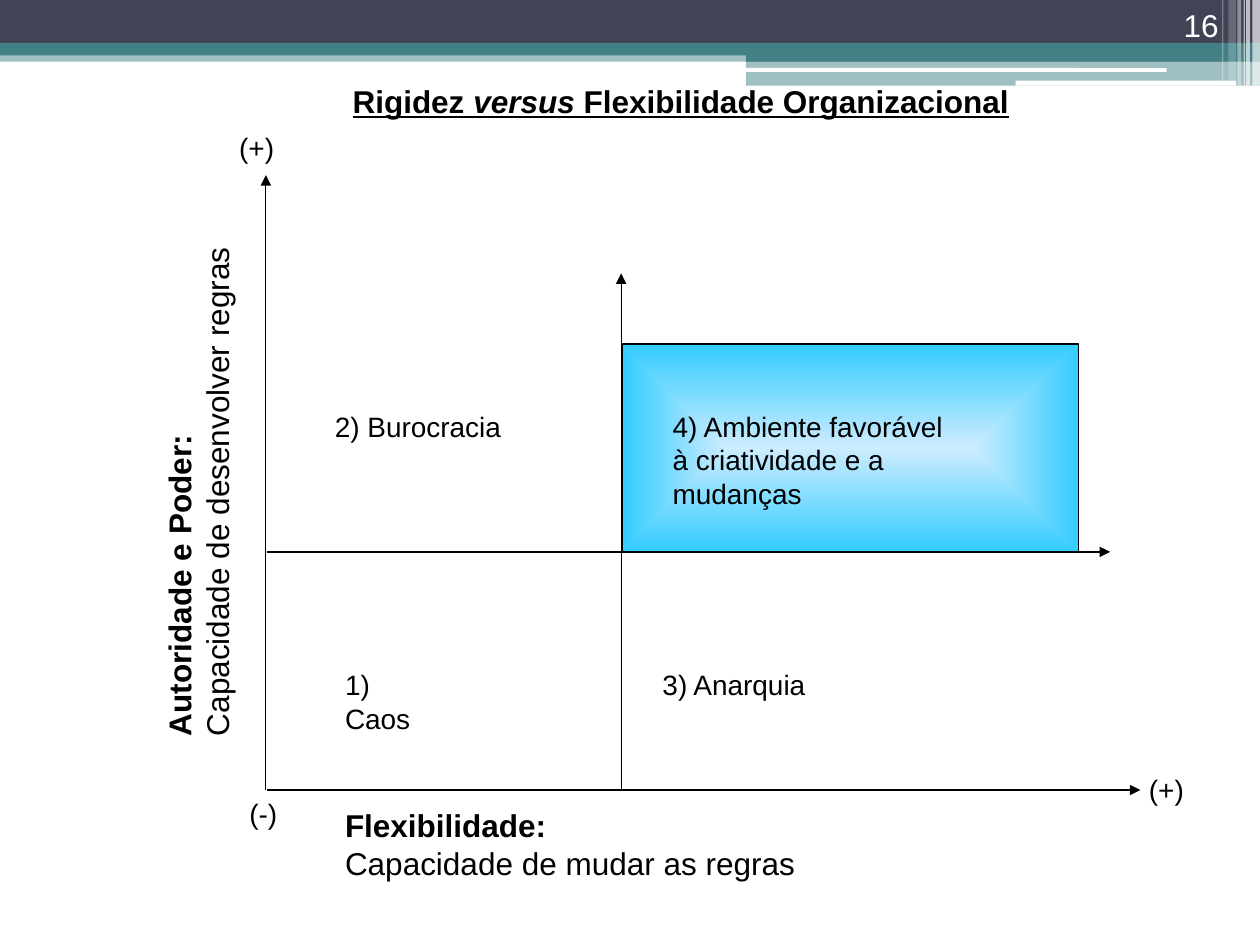
from lxml import etree
from pptx import Presentation
from pptx import util as u
from pptx.dml.color import RGBColor
from pptx.enum import shapes, text
from pptx.oxml import ns

Inches, Pt = u.Inches, u.Pt
BLACK = RGBColor(0x00, 0x00, 0x00)
WHITE = RGBColor(0xFF, 0xFF, 0xFF)
NAVY = RGBColor(0x42, 0x44, 0x56)
TEAL = RGBColor(0x43, 0x80, 0x86)
PALE_BLUE = RGBColor(0xCC, 0xEC, 0xFF)
SKY_BLUE = RGBColor(0x33, 0xCC, 0xFF)


def add_xml(parent, tag, **attrs):
    return etree.SubElement(parent, ns.qn(tag), attrs)


class SlideBuilder:
    font = "Arial"
    line_width = Pt(0.75)

    def __init__(self, slide):
        self.s = slide

    def box(self, x, y, w, h, color, alpha=100, kind=shapes.MSO_SHAPE.RECTANGLE):
        """Borderless filled shape; alpha is its opacity in percent."""
        sp = self.s.shapes.add_shape(kind, Inches(x), Inches(y), Inches(w), Inches(h))
        sp.shadow.inherit = False
        sp.line.fill.background()
        sp.fill.solid()
        sp.fill.fore_color.rgb = color
        if alpha < 100:
            clr = sp.fill._xPr.find(".//" + ns.qn("a:srgbClr"))
            add_xml(clr, "a:alpha", val=str(alpha * 1000))
        return sp

    def glow_box(self, x, y, w, h, inner, outer):
        """Outlined rectangle shaded from its centre to its edges."""
        sp = self.box(x, y, w, h, outer)
        sp.line.color.rgb = BLACK
        sp.line.width = self.line_width
        sp.fill.gradient()
        for stop, color, position in zip(sp.fill.gradient_stops, (inner, outer), (0, 1)):
            stop.color.rgb = color
            stop.position = position
        grad = sp._element.spPr.find(ns.qn("a:gradFill"))
        grad.remove(grad.find(ns.qn("a:lin")))
        shade = add_xml(grad, "a:path", path="rect")
        add_xml(shade, "a:fillToRect", l="50000", t="50000", r="50000", b="50000")

    def arrow(self, x1, y1, x2, y2):
        c = self.s.shapes.add_connector(
            shapes.MSO_CONNECTOR.STRAIGHT, Inches(x1), Inches(y1), Inches(x2), Inches(y2))
        c.line.color.rgb = BLACK
        c.line.width = self.line_width
        add_xml(c.line._get_or_add_ln(), "a:tailEnd", type="triangle")
        add_xml(c._element.spPr, "a:effectLst")

    def label(self, x, y, w, h, paragraphs, size=16, color=BLACK, wrap=False, rotation=0,
              align=text.PP_ALIGN.LEFT, anchor=text.MSO_ANCHOR.TOP):
        """Each paragraph is a list of (words, style); style letters are b, i and u."""
        sp = self.s.shapes.add_textbox(Inches(x), Inches(y), Inches(w), Inches(h))
        sp.rotation = rotation
        tf = sp.text_frame
        tf.word_wrap = wrap
        tf.vertical_anchor = anchor
        for i, runs in enumerate(paragraphs):
            p = tf.add_paragraph() if i else tf.paragraphs[0]
            p.alignment = align
            for words, style in runs:
                r = p.add_run()
                r.text = words
                r.font.name = self.font
                r.font.size = Pt(size)
                r.font.color.rgb = color
                r.font.bold = "b" in style
                r.font.italic = "i" in style
                r.font.underline = "u" in style


def main():
    prs = Presentation()
    prs.slide_width, prs.slide_height = Inches(10), Inches(7.5)
    b = SlideBuilder(prs.slides.add_slide(prs.slide_layouts[6]))

    # Header bands
    for x, y, w, h, color, alpha in [
        (0, 0.4, 10, 0.09, TEAL, 50),
        (0, 0, 10, 0.34, NAVY, 100),
        (0, 0.34, 10, 0.1, TEAL, 100),
        (5.92, 0.39, 4.08, 0.1, TEAL, 100),
        (5.92, 0.48, 4.08, 0.2, TEAL, 50),
    ]:
        b.box(x, y, w, h, color, alpha)
    for x, y, w, h in [(5.91, 0.54, 3.35, 0.03), (8.06, 0.64, 1.75, 0.04)]:
        b.box(x, y, w, h, WHITE, kind=shapes.MSO_SHAPE.ROUNDED_RECTANGLE)

    # Translucent stripes at the right edge
    for x, w, h, alpha in [
        (9.94, 0.06, 0.68, 65),
        (9.89, 0.03, 0.68, 65),
        (9.87, 0.01, 0.68, 60),
        (9.82, 0.03, 0.68, 40),
        (9.75, 0.06, 0.64, 20),
        (9.7, 0.01, 0.64, 30),
    ]:
        b.box(x, 0, w, h, WHITE, alpha)

    # Highlighted quadrant and axes
    left, middle, base, center = 2.12, 4.93, 6.27, 4.38
    b.glow_box(4.94, 2.73, 3.62, 1.65, PALE_BLUE, SKY_BLUE)
    b.arrow(2.11, base, 2.11, 1.39)
    b.arrow(left, base, 9.05, base)
    b.arrow(left, center, 8.81, center)
    b.arrow(middle, base, middle, 2.17)

    # Axis signs
    for x, y, sign in [(1.88, 6.27, "(-)"), (9.02, 6.08, "(+)"), (1.8, 0.99, "(+)")]:
        b.label(x, y, 0.49, 0.37, [[(sign, "")]], wrap=True)

    # Axis titles
    b.label(-0.47, 3.55, 4.08, 0.7, [[("Autoridade e Poder:", "b")],
            [("Capacidade de desenvolver regras", "")]], size=18, rotation=270)
    b.label(2.64, 6.35, 3.77, 0.7, [[("Flexibilidade:", "b")],
            [("Capacidade de mudar as regras", "")]], size=18)

    # Quadrant names
    for x, y, w, name in [
        (2.64, 5.25, 0.97, "1) Caos"),
        (2.56, 3.2, 1.52, "2) Burocracia"),
        (5.16, 5.25, 1.34, "3) Anarquia"),
    ]:
        b.label(x, y, w, 0.37, [[(name, "")]])
    b.label(5.24, 3.2, 2.52, 0.9,
            [[("4) Ambiente favorável à criatividade e a mudanças", "")]], wrap=True)

    # Title and slide number
    b.label(2.7, 0.6, 5.41, 0.4, [[("Rigidez ", "bu"), ("versus", "biu"),
            (" Flexibilidade Organizacional", "bu")]], size=18)
    b.label(8.94, 0, 0.83, 0.4, [[("16", "")]], size=18, color=WHITE, wrap=True,
            align=text.PP_ALIGN.RIGHT, anchor=text.MSO_ANCHOR.BOTTOM)

    prs.save("out.pptx")


if __name__ == "__main__":
    main()
